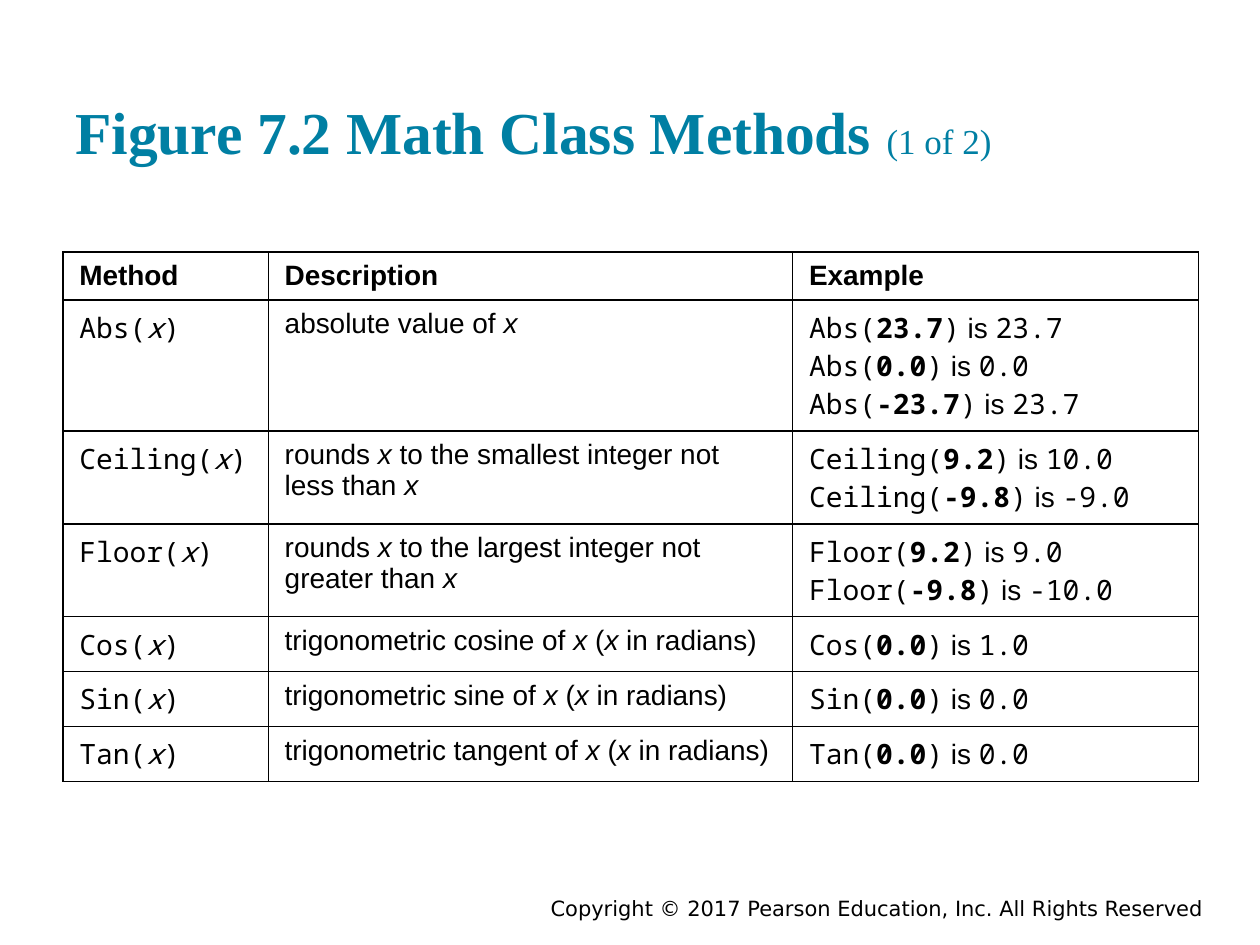
from lxml import etree
from pptx import Presentation
from pptx.dml.color import RGBColor
from pptx.enum.text import MSO_ANCHOR, MSO_AUTO_SIZE, PP_ALIGN
from pptx.oxml.ns import qn
from pptx.util import Cm, Pt

SANS, MONO = "Arial", "Noto Sans Mono"
TEAL, BLACK = "007FA3", "000000"

HEADERS = ["Method", "Description", "Example"]
# Method name, description lines (*...* is italic), (argument, result) pairs
METHODS = [
    ("Abs", ["absolute value of *x*"],
     [("23.7", "23.7"), ("0.0", "0.0"), ("-23.7", "23.7")]),
    ("Ceiling", ["rounds *x *to the smallest integer not", "less than *x*"],
     [("9.2", "10.0"), ("-9.8", "-9.0")]),
    ("Floor", ["rounds *x *to the largest integer not", "greater than *x*"],
     [("9.2", "9.0"), ("-9.8", "-10.0")]),
    ("Cos", ["trigonometric cosine of *x *(*x *in radians)"], [("0.0", "1.0")]),
    ("Sin", ["trigonometric sine of *x *(*x *in radians)"], [("0.0", "0.0")]),
    ("Tan", ["trigonometric tangent of *x *(*x *in radians)"], [("0.0", "0.0")]),
]
COLUMN_WIDTHS = [4.14, 10.57, 8.18]
HEADER_HEIGHT, LINE_HEIGHT, ROW_PADDING = 0.95, 0.76, 0.34


def rgb(value):
    return RGBColor.from_string(value)


def add_run(p, text, font, size=16, color=BLACK, bold=False, italic=False):
    r = p.add_run()
    r.text = text
    r.font.name, r.font.size = font, Pt(size)
    r.font.bold, r.font.italic = bold, italic
    r.font.color.rgb = rgb(color)


def add_title(s, left, top, width, height):
    title = s.shapes.title
    title.left, title.top, title.width, title.height = map(
        Cm, (left, top, width, height))
    tf = title.text_frame
    tf.auto_size = MSO_AUTO_SIZE.NONE
    tf.vertical_anchor = MSO_ANCHOR.BOTTOM
    tf.margin_left = tf.margin_right = tf.margin_top = tf.margin_bottom = Cm(0.25)
    p = tf.paragraphs[0]
    p.alignment = PP_ALIGN.LEFT
    add_run(p, "Figure 7.2 Math Class Methods ", "Times New Roman", 34, TEAL, bold=True)
    add_run(p, "(1 of 2)", "Times New Roman", 20, TEAL)


def format_cell(cell):
    cell.margin_left = cell.margin_right = Cm(0.33)
    cell.margin_top = cell.margin_bottom = Cm(0.17)
    tcPr = cell._tc.get_or_add_tcPr()
    for side in ("a:lnL", "a:lnR", "a:lnT", "a:lnB"):
        ln = etree.SubElement(tcPr, qn(side), w=str(Pt(1)))
        fill = etree.SubElement(ln, qn("a:solidFill"))
        etree.SubElement(fill, qn("a:srgbClr"), val=BLACK)
    cell.fill.background()


def fill_cell(cell, lines):
    """Write one paragraph per line; a line is a list of (text, font, style)."""
    format_cell(cell)
    tf = cell.text_frame
    for i, line in enumerate(lines):
        p = tf.add_paragraph() if i else tf.paragraphs[0]
        for text, font, style in line:
            add_run(p, text, font, bold=style == "bold", italic=style == "italic")


def call_runs(name, argument, style):
    return [(f"{name}(", MONO, None), (argument, MONO, style), (")", MONO, None)]


def description_runs(line):
    return [(part, SANS, "italic" if i % 2 else None)
            for i, part in enumerate(line.split("*")) if part]


def example_runs(name, argument, result):
    return call_runs(name, argument, "bold") + [
        (" is ", SANS, None), (result, MONO, None)]


def add_methods_table(s, left, top):
    heights = [HEADER_HEIGHT] + [
        ROW_PADDING + LINE_HEIGHT * len(examples) for _, _, examples in METHODS]
    table = s.shapes.add_table(
        len(heights), len(HEADERS), Cm(left), Cm(top),
        Cm(sum(COLUMN_WIDTHS)), Cm(sum(heights))).table
    table.first_row = table.horz_banding = False
    for column, width in zip(table.columns, COLUMN_WIDTHS):
        column.width = Cm(width)
    for row, height in zip(table.rows, heights):
        row.height = Cm(height)

    # Header row
    for col, header in enumerate(HEADERS):
        fill_cell(table.cell(0, col), [[(header, SANS, "bold")]])

    # One row per method
    for row, (name, description, examples) in enumerate(METHODS, 1):
        fill_cell(table.cell(row, 0), [call_runs(name, "x", "italic")])
        fill_cell(table.cell(row, 1), [description_runs(d) for d in description])
        fill_cell(table.cell(row, 2), [example_runs(name, *e) for e in examples])


def add_copyright(s, left, top, width, height):
    tf = s.shapes.add_textbox(
        Cm(left), Cm(top), Cm(width), Cm(height)).text_frame
    tf.word_wrap = True
    tf.vertical_anchor = MSO_ANCHOR.MIDDLE
    p = tf.paragraphs[0]
    p.alignment = PP_ALIGN.RIGHT
    add_run(p, "Copyright © 2017 Pearson Education, Inc. All Rights Reserved",
            "DejaVu Sans", 12)


def main():
    prs = Presentation()
    prs.slide_width, prs.slide_height = Cm(25.4), Cm(19.05)
    s = prs.slides.add_slide(prs.slide_layouts[5])
    add_title(s, 1.27, 0.64, 22.86, 2.97)
    add_methods_table(s, 1.27, 5.08)
    add_copyright(s, 7.62, 17.98, 16.89, 0.64)
    prs.save("out.pptx")


if __name__ == "__main__":
    main()
